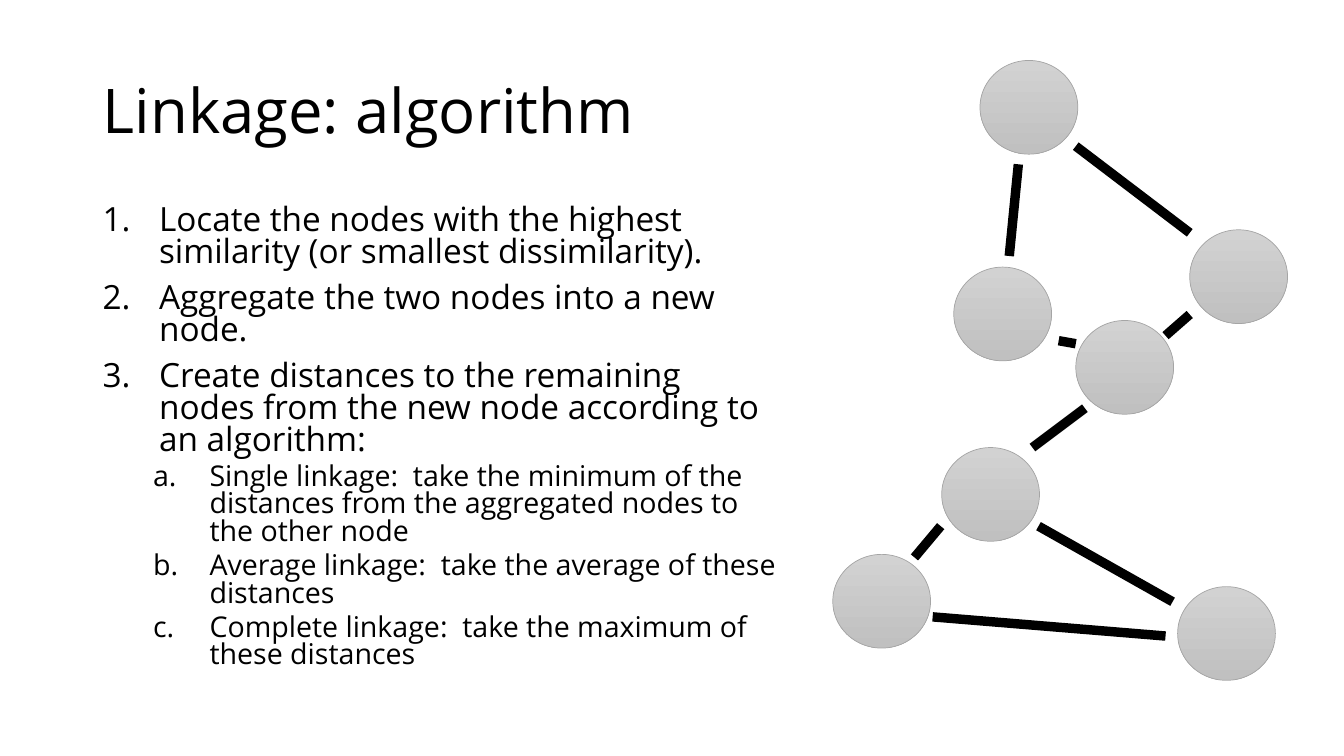
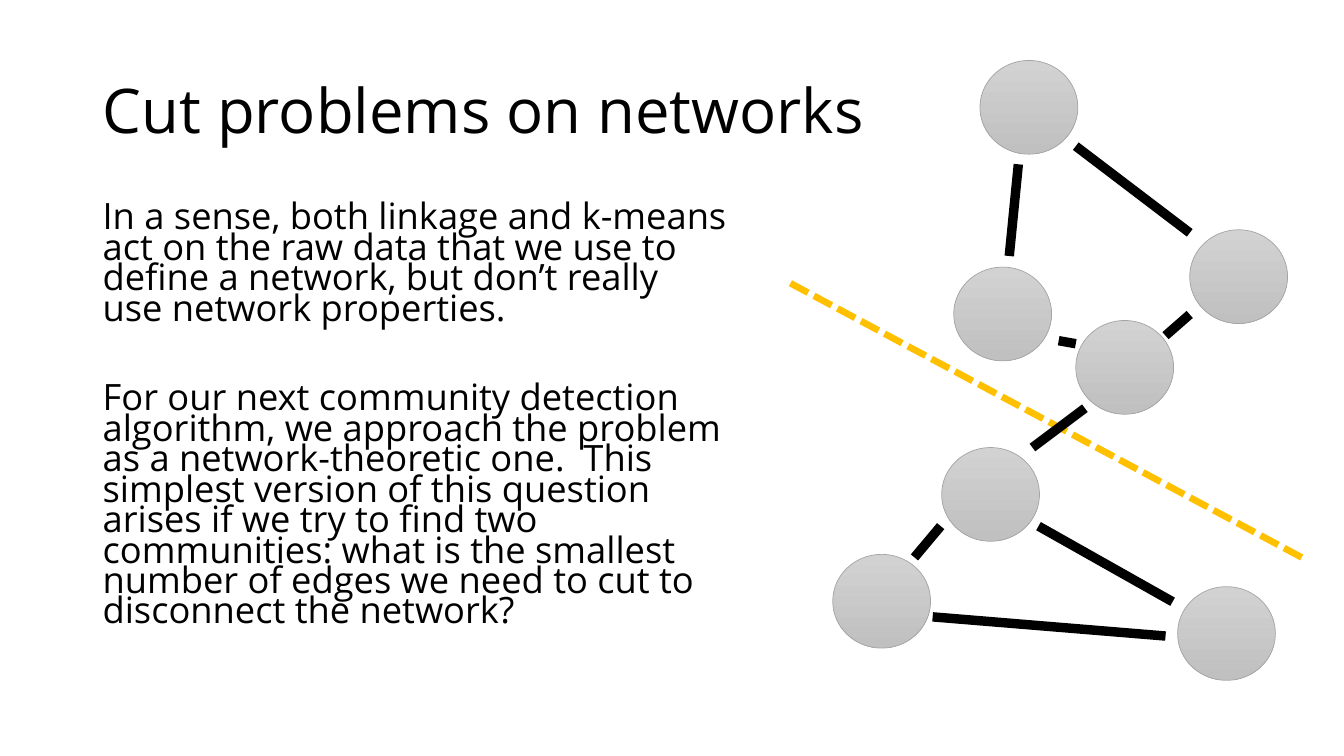
"""Build two slides on linkage and cut problems, sharing one network drawing."""
import pptx
import pptx.dml.color
import pptx.enum.dml
import pptx.enum.shapes
import pptx.enum.text
import pptx.oxml.ns
import pptx.util
from lxml import etree

Inches = pptx.util.Inches
Pt = pptx.util.Pt
FONT = "Open Sans"
COLORS = {
    "text": "000000",
    "edge": "000000",
    "cut": "FFC000",
    "node_top": "D2D2D2",
    "node_bottom": "C0C0C0",
    "node_line": "A5A5A5",
}
RGB = {name: pptx.dml.color.RGBColor.from_string(value) for name, value in COLORS.items()}

BODY_TOP = 1.99
NODE_WIDTH, NODE_HEIGHT = 0.97, 0.93
NODES = [(11.8, 2.28), (9.72, 0.6), (9.46, 2.65), (10.67, 3.18),
         (11.68, 5.82), (9.34, 4.44), (8.26, 5.5)]
EDGES = [
    (10.5, 3.38, 10.67, 3.41),
    (10.3, 5.22, 11.63, 5.97),
    (10.01, 2.54, 10.1, 1.63),
    (11.56, 3.33, 11.8, 3.12),
    (9.25, 6.12, 11.56, 6.31),
    (10.67, 1.45, 11.8, 2.31),
    (9.33, 5.22, 9.07, 5.53),
    (10.24, 4.44, 10.76, 4.05),
]
CUT = (7.84, 2.81, 12.91, 5.53)

NUMBERED = {"size": 23.8, "before": 10, "spacing": 0.8, "indent": 0.56, "numbering": "arabicPeriod"}
LETTERED = {"size": 20.4, "before": 5, "spacing": 0.8, "indent": 1.06, "numbering": "alphaLcPeriod", "level": 1}
PLAIN = {"size": 25.9, "before": 42, "spacing": 0.7}

SLIDES = [
    {
        "title": "Linkage: algorithm",
        "width": 6.9,
        "cut": None,
        "body": [
            ("Locate the nodes with the highest similarity (or smallest dissimilarity).", NUMBERED),
            ("Aggregate the two nodes into a new node.", NUMBERED),
            ("Create distances to the remaining nodes from the new node according to an algorithm:", NUMBERED),
            ("Single linkage:  take the minimum of the distances from the aggregated nodes to the other node", LETTERED),
            ("Average linkage:  take the average of these distances", LETTERED),
            ("Complete linkage:  take the maximum of these distances", LETTERED),
        ],
    },
    {
        "title": "Cut problems on networks",
        "width": 6.4,
        "cut": CUT,
        "body": [
            ("In a sense, both linkage and k-means act on the raw data that we use to define a network, "
             "but don’t really use network properties.", PLAIN),
            ("For our next community detection algorithm, we approach the problem as a network-theoretic one.  "
             "This simplest version of this question arises if we try to find two communities: "
             "what is the smallest number of edges we need to cut to disconnect the network?", PLAIN),
        ],
    },
]


def write_paragraph(paragraph, text, size, spacing, before=0, indent=0, numbering=None, level=0):
    paragraph.level = level
    paragraph.alignment = pptx.enum.text.PP_ALIGN.LEFT
    paragraph.line_spacing = spacing
    paragraph.space_before = Pt(before)
    if numbering:
        properties = paragraph._p.get_or_add_pPr()
        properties.set("marL", str(Inches(indent)))
        properties.set("indent", str(-Inches(NUMBERED["indent"])))
        etree.SubElement(properties, pptx.oxml.ns.qn("a:buAutoNum"), type=numbering)
    run = paragraph.add_run()
    run.text = text
    run.font.name = FONT
    run.font.size = Pt(size)
    run.font.color.rgb = RGB["text"]


def add_line(slide, points, color, width, dash=None):
    line = slide.shapes.add_connector(
        pptx.enum.shapes.MSO_CONNECTOR.STRAIGHT, *[Inches(value) for value in points])
    line.line.color.rgb = RGB[color]
    line.line.width = Pt(width)
    if dash:
        line.line.dash_style = dash
    etree.SubElement(line._element.spPr, pptx.oxml.ns.qn("a:effectLst"))


presentation = pptx.Presentation()
presentation.slide_width = Inches(13.33)
presentation.slide_height = Inches(7.5)

for content in SLIDES:
    slide = presentation.slides.add_slide(presentation.slide_layouts[5])
    title = slide.shapes.title
    title.left, title.top = Inches(0.92), Inches(0.4)
    title.width, title.height = Inches(11.5), Inches(1.45)
    title.text_frame.auto_size = pptx.enum.text.MSO_AUTO_SIZE.NONE
    title.text_frame.vertical_anchor = pptx.enum.text.MSO_ANCHOR.MIDDLE
    write_paragraph(title.text_frame.paragraphs[0], content["title"], size=44, spacing=0.9)

    body = slide.shapes.add_textbox(
        Inches(0.92), Inches(BODY_TOP), Inches(content["width"]), Inches(4.76))
    body.text_frame.word_wrap = True
    for index, (text, style) in enumerate(content["body"]):
        if index == 0:
            write_paragraph(body.text_frame.paragraphs[0], text, **{**style, "before": 0})
        else:
            write_paragraph(body.text_frame.add_paragraph(), text, **style)

    if content["cut"]:
        add_line(slide, content["cut"], "cut", 4.75, pptx.enum.dml.MSO_LINE.SQUARE_DOT)

    for left, top in NODES:
        node = slide.shapes.add_shape(
            pptx.enum.shapes.MSO_SHAPE.OVAL,
            Inches(left), Inches(top), Inches(NODE_WIDTH), Inches(NODE_HEIGHT))
        node.shadow.inherit = False
        node.fill.gradient()
        node.fill.gradient_angle = 270
        for stop, color in zip(node.fill.gradient_stops, ("node_top", "node_bottom")):
            stop.color.rgb = RGB[color]
        node.line.color.rgb = RGB["node_line"]
        node.line.width = Pt(0.5)

    for points in EDGES:
        add_line(slide, points, "edge", 6.75)

presentation.save("out.pptx")
